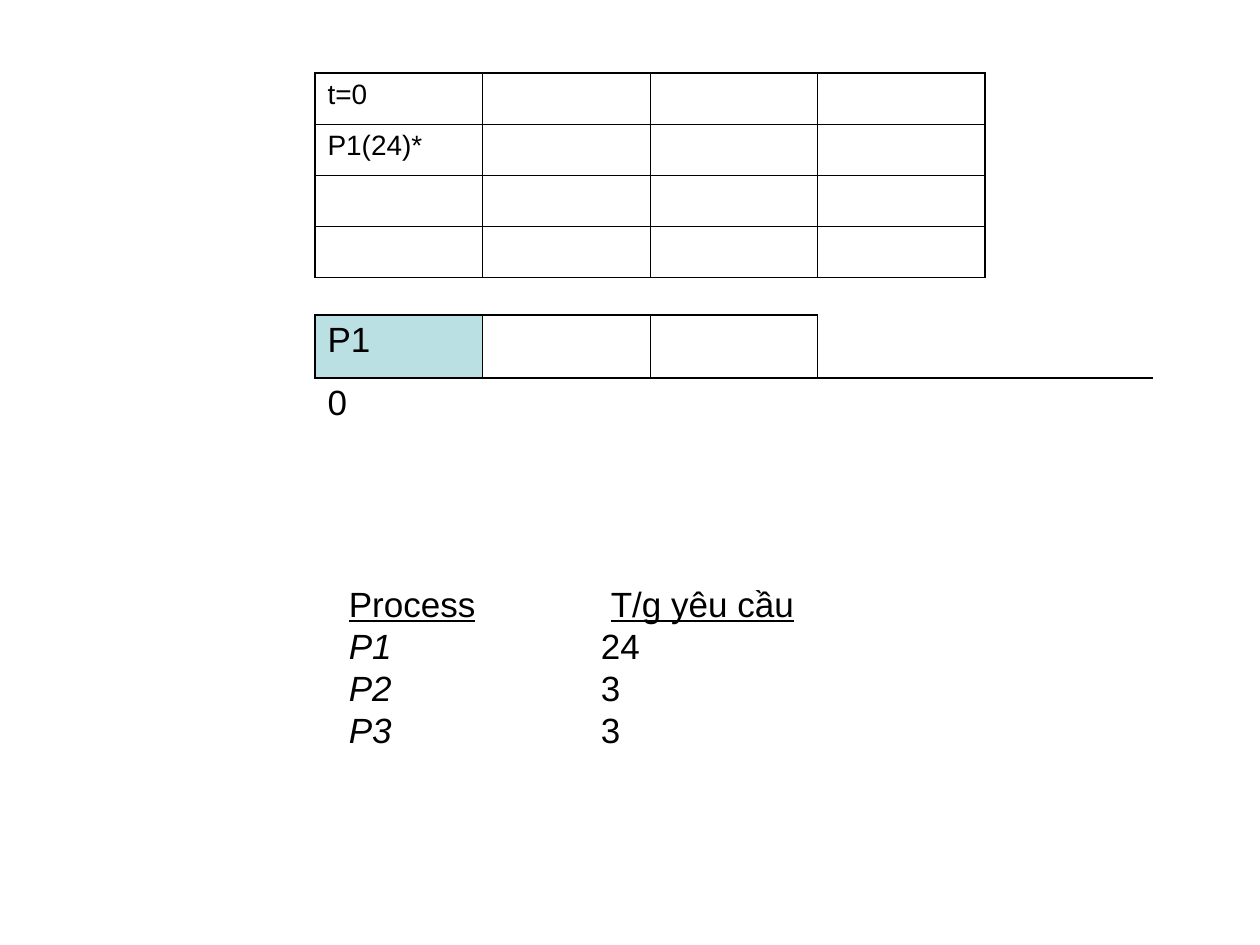
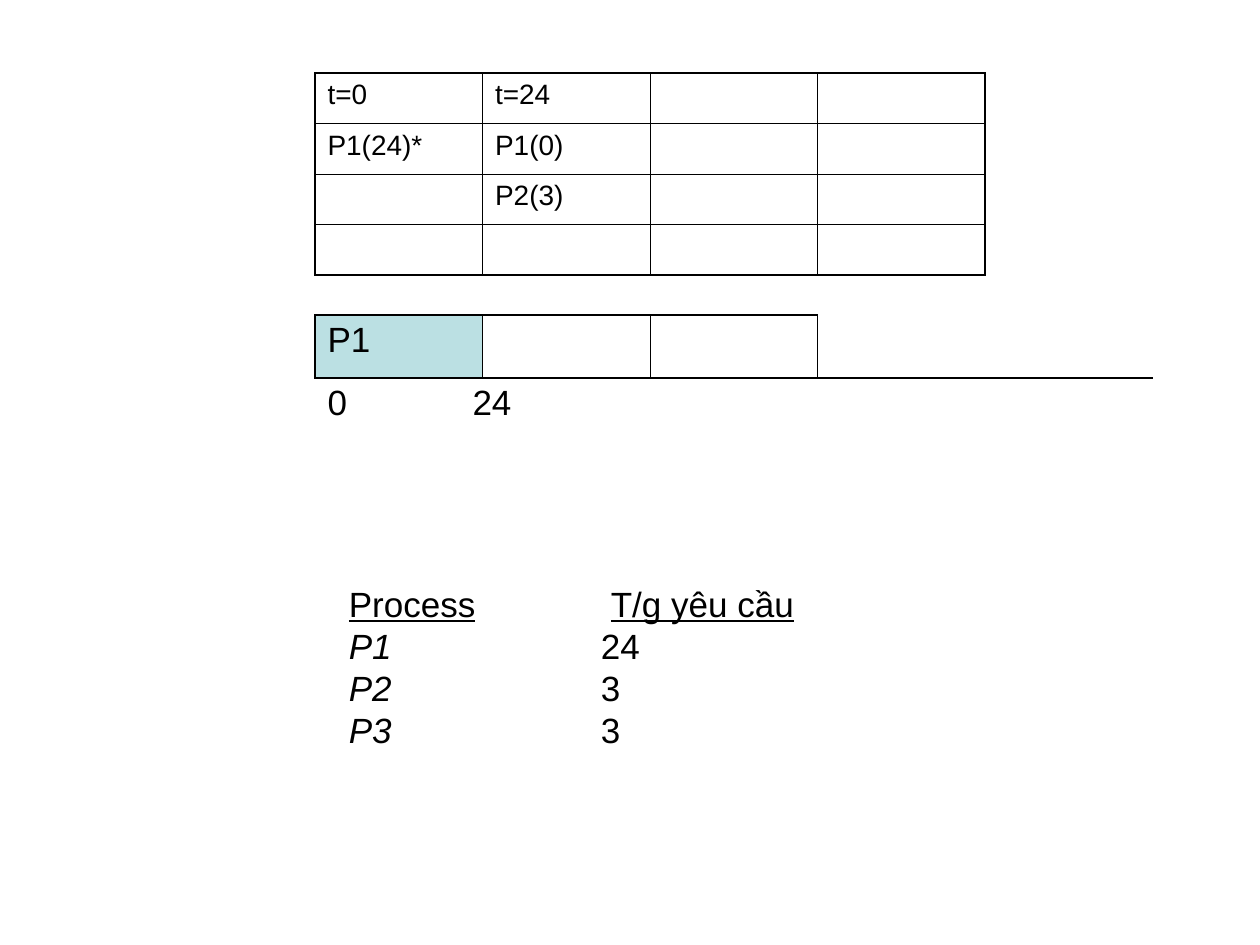
from dataclasses import dataclass

from lxml import etree
from pptx import Presentation
from pptx.dml.color import RGBColor
from pptx.enum.text import MSO_ANCHOR
from pptx.oxml.ns import qn
from pptx.util import Inches, Pt

TOP = MSO_ANCHOR.TOP
BLACK = "000000"
CPU_FILL = "BBE0E3"
FONT = "Arial"
THIN, THICK = 0.45, 1.08
PLAIN_TABLE = "{2D5ABB26-0587-4C30-8999-92F81FD0307C}"
LEFT, COL = 2.5, 1.33
QUEUE_SIZE = 4
GANTT_COLS = (COL, COL, COL, 2 * COL)
PROCESSES = (("P1", "24"), ("P2", "3"), ("P3", "3"))


@dataclass(frozen=True)
class Step:
    """One step of the schedule: queue columns and Gantt time marks."""
    queue: tuple[tuple[str, ...], ...]
    times: tuple[str, ...]


STEPS = (
    Step((("t=0", "P1(24)*"),), ("0",)),
    Step((("t=0", "P1(24)*"), ("t=24", "P1(0)", "P2(3)")), ("0", "24")),
)


def rgb(color: str) -> RGBColor:
    """Turn a hex string into a colour."""
    return RGBColor.from_string(color)


def style_run(r, size: float, underline: bool = False, italic: bool = False) -> None:
    """Format a run in the shared font."""
    r.font.name = FONT
    r.font.size = Pt(size)
    r.font.color.rgb = rgb(BLACK)
    r.font.underline = underline
    r.font.italic = italic


def set_tab(p, position: float) -> None:
    """Give a paragraph a single left tab stop."""
    tabs = etree.SubElement(p._p.get_or_add_pPr(), qn("a:tabLst"))
    etree.SubElement(tabs, qn("a:tab"), pos=str(Inches(position)), algn="l")


def set_borders(cell, **widths: float) -> None:
    """Draw the given sides (L, R, T, B) of a cell in black."""
    sides = [side for side in "LRTB" if side in widths]
    for i, side in enumerate(sides):
        ln = etree.Element(qn(f"a:ln{side}"), w=str(Pt(widths[side])))
        fill = etree.SubElement(ln, qn("a:solidFill"))
        etree.SubElement(fill, qn("a:srgbClr"), val=BLACK)
        cell._tc.get_or_add_tcPr().insert(i, ln)


def set_cell(cell, text: str, size: float, space_before: float) -> None:
    """Write a cell's text."""
    cell.text_frame.text = text
    p = cell.text_frame.paragraphs[0]
    p.space_before = Pt(space_before)
    for r in p.runs:
        style_run(r, size)


def add_plain_table(s, top: float, widths: tuple[float, ...], rows: int, height: float):
    """Add a table without style or fills."""
    frame = s.shapes.add_table(rows, len(widths), Inches(LEFT), Inches(top),
                               Inches(sum(widths)), Inches(rows * height))
    table = frame.table
    table.first_row = table.horz_banding = False
    table._tbl.tblPr.find(qn("a:tableStyleId")).text = PLAIN_TABLE
    for column, width in zip(table.columns, widths):
        column.width = Inches(width)
    for row in table.rows:
        row.height = Inches(height)
    for cell in table.iter_cells():
        cell.fill.background()
        cell.vertical_anchor = TOP
    return table


def add_queue(s, step: Step) -> None:
    """Draw the ready queue with a heavier outer frame."""
    table = add_plain_table(s, 0.58, (COL,) * QUEUE_SIZE, QUEUE_SIZE, 0.4)
    last = QUEUE_SIZE - 1
    for row in range(QUEUE_SIZE):
        for col in range(QUEUE_SIZE):
            set_borders(table.cell(row, col),
                        L=THICK if col == 0 else THIN,
                        R=THICK if col == last else THIN,
                        T=THICK if row == 0 else THIN,
                        B=THICK if row == last else THIN)
    for col, entries in enumerate(step.queue):
        for row, entry in enumerate(entries):
            set_cell(table.cell(row, col), entry, 16, 4)


def add_gantt(s, step: Step) -> None:
    """Draw the Gantt bar and the time marks under it."""
    table = add_plain_table(s, 2.5, GANTT_COLS, 2, 0.5)
    last = len(GANTT_COLS) - 1
    for col in range(last):
        set_borders(table.cell(0, col), L=THIN if col else THICK,
                    R=THIN, T=THICK, B=THICK)
    set_borders(table.cell(0, last), L=THIN, B=THICK)
    for col in range(last + 1):
        set_borders(table.cell(1, col), T=THICK)
    running, marks = table.cell(0, 0), table.cell(1, 0)
    running.fill.solid()
    running.fill.fore_color.rgb = rgb(CPU_FILL)
    set_cell(running, "P1", 20, 5)
    marks.merge(table.cell(1, last))
    set_cell(marks, "\t".join(step.times), 20, 5)
    set_tab(marks.text_frame.paragraphs[0], 1.15)


def add_processes(s) -> None:
    """List the processes with their required times."""
    tf = s.shapes.add_textbox(Inches(2.67), Inches(4.57), Inches(5), Inches(1.44)).text_frame
    tf.word_wrap = True
    for i, (name, time) in enumerate((("Process", "T/g yêu cầu"),) + PROCESSES):
        header = i == 0
        p = tf.paragraphs[0] if header else tf.add_paragraph()
        p.line_spacing = Pt(24)
        set_tab(p, 2.08 if header else 2)
        for text, underline, italic in ((name, header, not header),
                                        ("\t", False, False), (time, header, False)):
            r = p.add_run()
            r.text = text
            style_run(r, 20, underline, italic)


def main() -> None:
    """Build the presentation."""
    prs = Presentation()
    prs.slide_width, prs.slide_height = Inches(10), Inches(7.5)
    for step in STEPS:
        s = prs.slides.add_slide(prs.slide_layouts[6])
        add_queue(s, step)
        add_gantt(s, step)
        add_processes(s)
    prs.save("out.pptx")


if __name__ == "__main__":
    main()
